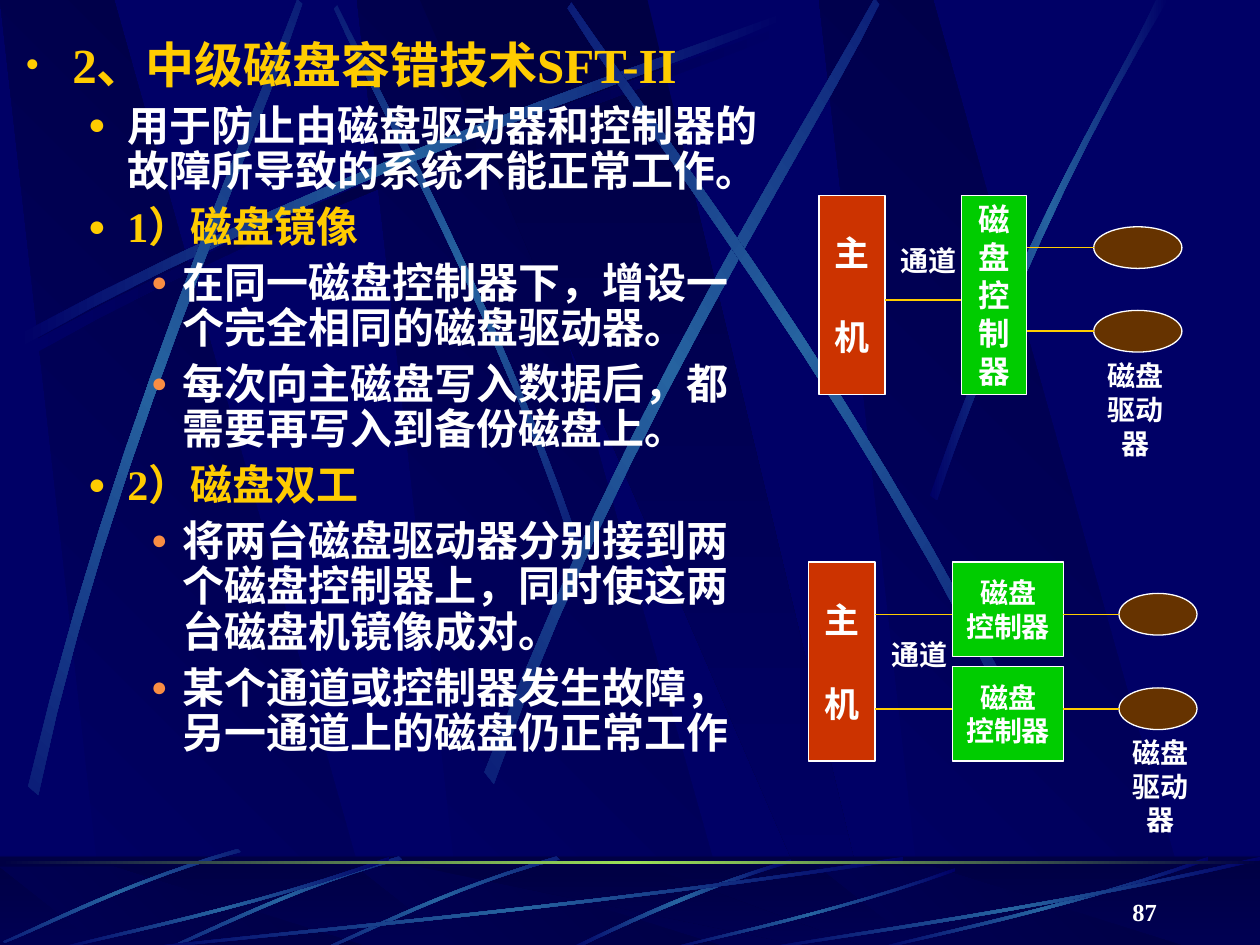
from lxml.etree import SubElement as Sub
from pptx import Presentation
from pptx.dml.color import RGBColor
from pptx.enum.shapes import MSO_CONNECTOR as Link, MSO_SHAPE as Kind
from pptx.enum.text import MSO_ANCHOR as Anchor, PP_ALIGN as Align
from pptx.oxml.ns import qn
from pptx.util import Pt

hue = RGBColor.from_string
NAVY, DARK, BLUE, LIME = "000066", "000044", "2663A0", "9CE157"
GOLD, WHITE, PEACH = "FFCC00", "FFFFFF", "F98D43"
RED, GREEN, BROWN = "CC3300", "00CC00", "663300"
FONT = "Times New Roman"

deck = Presentation()
deck.slide_width, deck.slide_height = Pt(720), Pt(540)
slide = deck.slides.add_slide(deck.slide_layouts[6])
slide.background.fill.solid()
slide.background.fill.fore_color.rgb = hue(NAVY)
shapes = slide.shapes


def add_box(kind, x, y, w, h, fill):
    box = shapes.add_shape(kind, Pt(x), Pt(y), Pt(w), Pt(h))
    box.shadow.inherit = False
    box.fill.solid()
    box.fill.fore_color.rgb = hue(fill)
    box.line.color.rgb = hue(WHITE)
    box.line.width = Pt(0.75)
    return box


def add_text(box, text, size, align=Align.CENTER, anchor=Anchor.MIDDLE, gap=0):
    frame = box.text_frame
    frame.text = text
    frame.word_wrap = False
    frame.vertical_anchor = anchor
    for i, para in enumerate(frame.paragraphs):
        para.alignment = align
        if i:
            para.space_before = Pt(gap)
        for run in para.runs:
            font = run.font
            font.name, font.size, font.bold = FONT, Pt(size), True
            font.color.rgb = hue(WHITE)


# Backdrop outlines, as fractions of their frames
slab = [(0.28, 1), (1, 1), (0.3, 0), (0, 0)]
wedge = [(0, 0), (0.9, 1), (1, 1), (0.5, 0)]
# Each streak is two curves of four control points
swoosh = [(0, 0.96), (0.43, 0.43), (0.83, 0.15), (1, 0),
          (1, 0.02), (0.83, 0.19), (0.38, 0.5), (0, 1)]
ray = [(0, 0.99), (0.4, 0.44), (0.79, 0.17), (0.95, 0),
       (1, 0), (0.52, 0.37), (0.16, 0.81), (0.03, 1)]
arc = [(1, 0), (0.49, 0.37), (0.16, 0.82), (0, 0.99),
       (0.03, 1), (0.23, 0.75), (0.68, 0.25), (1, 0.04)]
mirror = [(1 - u, v) for u, v in swoosh]
turned = [(1 - u, 1 - v) for u, v in swoosh]
glow, shade = [NAVY, BLUE, NAVY], [NAVY, DARK, NAVY]

streaks = [
    [(swoosh, (14.4, 13, 438, 192), 0, shade),
     (mirror, (101.5, 97.2, 318.2, 126), 45, glow),
     (swoosh, (10.1, 7.2, 438, 192), 0, glow),
     (swoosh, (-123.1, 131, 438, 192), 311.7, glow),
     (swoosh, (166.3, 115.2, 449.3, 216.7), 321.6, glow),
     (mirror, (232.6, 109.4, 438, 192), 34.8, glow),
     (ray, (531.4, 0, 136, 286), 0, glow)],
    [(arc, (322.6, 491, 129.6, 52.6), 0, glow)]
    + [(mirror, (x, y, 132, 60), 314.9, glow)
       for x, y in ((185.8, 486.7), (95.8, 486.7), (3.6, 482.4))]
    + [(turned, (x, 543.6 - h, w, h), 0, glow)
       for x, w, h in ((72, 444.2, 54), (30.2, 192.2, 54), (379.4, 166.3, 47.5),
                       (498.2, 192.2, 54), (432, 288, 54))],
]

# Backdrop parts: outline, frame, turn, colours, gradient angle
parts = []
for zone, (top, high) in enumerate(((0, 541), (495.4, 48))):
    if zone:
        parts.append((None, (0, 489.6, 720, 54), 0, [DARK, NAVY], 90))
    parts += [(slab, (x, top, 217.5, high), 0, [NAVY, DARK], 315) for x in (204, 0, 468)]
    parts.append((wedge, (240, top, 260, high), 0, [DARK, NAVY], 90))
    if zone:
        parts.append((None, (0, 489, 720, 54), 0, [DARK], 0))
    parts += [item + (0,) for item in streaks[zone]]
parts.append((None, (0, 492.3, 720, 1.6), 0, [DARK, LIME, DARK], 0))

for form, (x, y, w, h), turn, tones, angle in parts:
    if form is None:
        part = shapes.add_shape(Kind.RECTANGLE, Pt(x), Pt(y), Pt(w), Pt(h))
    else:
        dots = form
        if len(form) == 8:
            dots = []
            for a, b, c, d in (form[:4], form[4:]):
                for t in (n / 12 for n in range(13)):
                    s = 1 - t
                    dots.append([s**3 * a[k] + 3 * s * s * t * b[k]
                                 + 3 * s * t * t * c[k] + t**3 * d[k] for k in (0, 1)])
        spots = [(Pt(x + u * w), Pt(y + v * h)) for u, v in dots]
        pen = shapes.build_freeform(*spots[0])
        pen.add_line_segments(spots[1:], close=True)
        part = pen.convert_to_shape()
    part.rotation = turn
    part.shadow.inherit = False
    part.line.fill.background()
    if len(tones) == 1:
        part.fill.solid()
        part.fill.fore_color.rgb = hue(tones[0])
        tint = part.element.spPr.find(qn("a:solidFill"))[0]
        Sub(tint, qn("a:alpha"), val="50000")
    else:
        part.fill.gradient()
        grad = part.element.spPr.find(qn("a:gradFill"))
        stops = grad.find(qn("a:gsLst"))
        stops.clear()
        for i, tone in enumerate(tones):
            stop = Sub(stops, qn("a:gs"), pos=str(i * 100000 // (len(tones) - 1)))
            Sub(stop, qn("a:srgbClr"), val=tone)
        grad.find(qn("a:lin")).set("ang", str(angle * 60000))

# Outline text: level, colour, wording
lines = [
    (0, GOLD, "2、中级磁盘容错技术SFT-II"),
    (1, WHITE, "用于防止由磁盘驱动器和控制器的故障所导致的系统不能正常工作。"),
    (1, GOLD, "1）磁盘镜像"),
    (2, WHITE, "在同一磁盘控制器下，增设一个完全相同的磁盘驱动器。"),
    (2, WHITE, "每次向主磁盘写入数据后，都需要再写入到备份磁盘上。"),
    (1, GOLD, "2）磁盘双工"),
    (2, WHITE, "将两台磁盘驱动器分别接到两个磁盘控制器上，同时使这两台磁盘机镜像成对。"),
    (2, WHITE, "某个通道或控制器发生故障，另一通道上的磁盘仍正常工作"),
]
# Per level: left, hang, bullet, its colour and percent, text size
ranks = [(27, 27, "•", GOLD, 85, 28), (58.5, 22.5, "●", GOLD, 70, 24),
         (90, 18, "●", PEACH, 65, 24)]
frame = shapes.add_textbox(Pt(7.2), Pt(20.2), Pt(437.8), Pt(453.6)).text_frame
frame.word_wrap = True
frame.text = "\n".join(text for _, _, text in lines)
for i, (para, (level, tone, _)) in enumerate(zip(frame.paragraphs, lines)):
    left, hang, mark, dye, scale, size = ranks[level]
    para.level = level
    props = para._p.get_or_add_pPr()
    props.set("marL", str(Pt(left)))
    props.set("indent", str(-Pt(hang)))
    Sub(Sub(props, qn("a:buClr")), qn("a:srgbClr"), val=dye)
    Sub(props, qn("a:buSzPct"), val=str(scale * 1000))
    Sub(props, qn("a:buFont"), typeface=FONT)
    Sub(props, qn("a:buChar"), char=mark)
    para.line_spacing = 0.9
    if i:
        para.space_before = Pt(6)
    font = para.runs[0].font
    font.name, font.size, font.bold = FONT, Pt(size), True
    font.color.rgb = hue(tone)

# Both diagrams: hosts, controllers, disks
for x, y in ((468, 111.6), (462.2, 321.1)):
    add_text(add_box(Kind.RECTANGLE, x, y, 37.8, 113.8, RED), "主\n机", 20, gap=24)
for x, y, w, h, text, size in (
        (549.4, 111.6, 37.4, 113.8, "磁\n盘\n控\n制\n器", 18),
        (544.3, 321.1, 63.4, 54, "磁盘\n控制器", 16),
        (544.3, 380.9, 63.4, 54, "磁盘\n控制器", 16)):
    add_text(add_box(Kind.RECTANGLE, x, y, w, h, GREEN), text, size)
for x, y, w in ((625, 129.6, 50.4), (625, 177.4, 50.4),
                (639.4, 339.1, 44.6), (639.4, 393.1, 44.6)):
    add_box(Kind.OVAL, x, y, w, 23.8, BROWN)

# Captions and page number
for x, y, w, h, text, size, align, anchor in (
        (617.8, 201.6, 61.9, 46.1, "磁盘\n驱动器", 16, Align.CENTER, Anchor.TOP),
        (632.2, 416.9, 61.9, 46.1, "磁盘\n驱动器", 16, Align.CENTER, Anchor.TOP),
        (507.6, 135.4, 46.1, 26.6, "通道", 16, Align.RIGHT, Anchor.TOP),
        (502.6, 360.7, 46.1, 26.6, "通道", 16, Align.RIGHT, Anchor.TOP),
        (518.4, 496.8, 149.8, 36, "87", 14, Align.RIGHT, Anchor.BOTTOM)):
    note = shapes.add_textbox(Pt(x), Pt(y), Pt(w), Pt(h))
    add_text(note, text, size, align, anchor)
    note.text_frame.word_wrap = text == "87"

# Level wires: start, end, height
for x, end, y in ((505.8, 549.4, 171.4), (586.8, 625, 141.4), (586.8, 625, 189.2),
                  (500, 544.3, 351.2), (607.7, 639.4, 351.2),
                  (500, 544.3, 405.2), (607.7, 639.4, 405.2)):
    wire = shapes.add_connector(Link.STRAIGHT, Pt(x), Pt(y), Pt(end), Pt(y))
    wire.line.color.rgb = hue(GOLD)
    wire.line.width = Pt(0.75)
    Sub(wire.element.spPr, qn("a:effectLst"))

deck.save("out.pptx")
